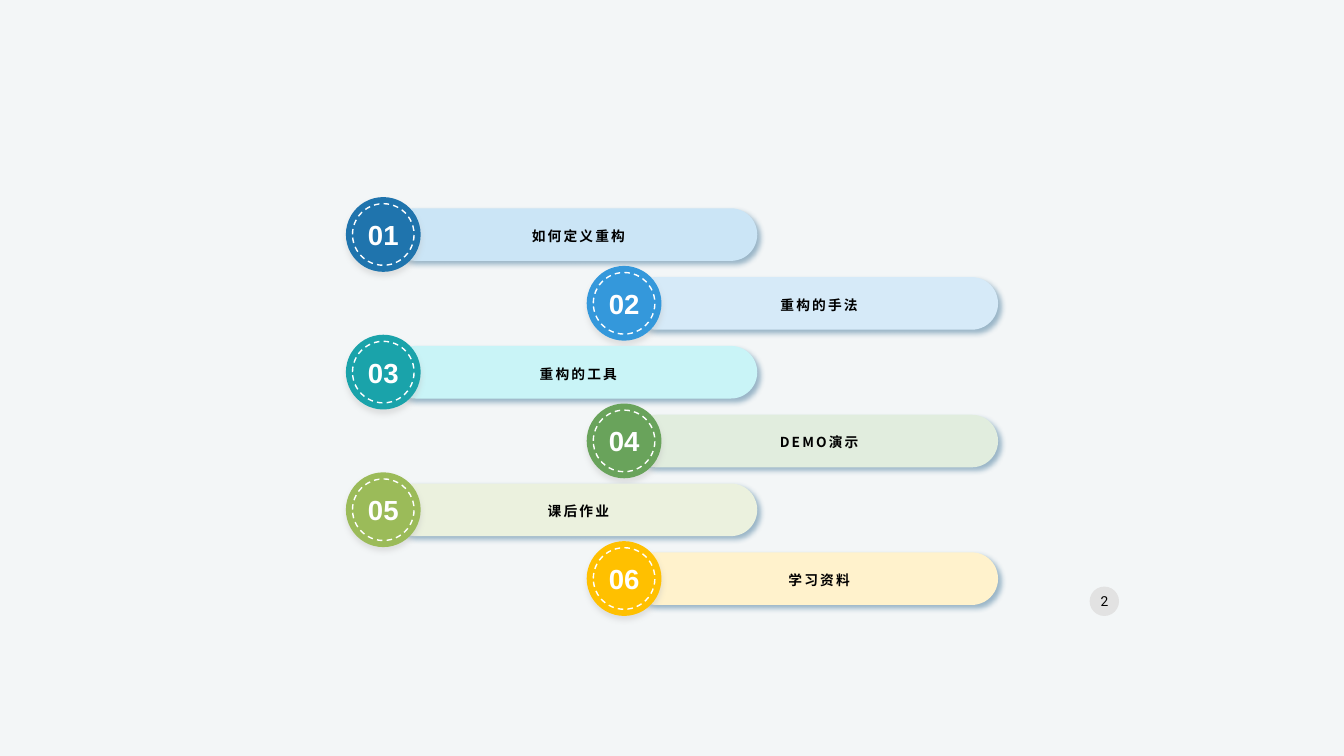
from dataclasses import dataclass

from lxml import etree
from pptx import Presentation
from pptx.dml.color import RGBColor
from pptx.enum import dml, shapes, text
from pptx.oxml import ns
from pptx.util import Pt


@dataclass(frozen=True)
class Theme:
    back: str = "F3F6F7"
    ink: str = "000000"
    white: str = "FFFFFF"
    dot: str = "E2E2E2"
    deep: str = "175782"
    soft: str = "BFBFBF"
    small: float = 9.8
    large: float = 19.7
    label: str = "Noto Sans CJK SC"
    number: str = "Arial"
    page: str = "Roboto"


class Deck:
    def __init__(self, theme):
        self.theme = theme
        self.prs = Presentation()
        self.prs.slide_width, self.prs.slide_height = Pt(960), Pt(540)
        self.slide = self.prs.slides.add_slide(self.prs.slide_layouts[6])
        fill = self.slide.background.fill
        fill.solid()
        fill.fore_color.rgb = RGBColor.from_string(theme.back)

    def shape(self, kind, box, fill=None):
        item = self.slide.shapes.add_shape(kind, *map(Pt, box))
        item.shadow.inherit = False
        item.line.fill.background()
        if fill:
            item.fill.solid()
            item.fill.fore_color.rgb = RGBColor.from_string(fill)
        else:
            item.fill.background()
        return item

    def oval(self, box, fill=None):
        return self.shape(shapes.MSO_SHAPE.OVAL, box, fill)

    def pill(self, box, fill):
        item = self.shape(shapes.MSO_SHAPE.ROUNDED_RECTANGLE, box, fill)
        item.adjustments[0] = 0.5
        return item

    def ring(self, box):
        item = self.oval(box)
        item.line.color.rgb = RGBColor.from_string(self.theme.white)
        item.line.width = Pt(1)
        item.line.dash_style = dml.MSO_LINE.DASH
        return item

    def shade(self, item, color, angle):
        """Blur 4 pt, distance 3 pt, 40 % opaque."""
        effects = item._element.spPr.find(ns.qn("a:effectLst"))
        outer = etree.SubElement(
            effects, ns.qn("a:outerShdw"), blurRad=str(Pt(4)),
            dist=str(Pt(3)), dir=str(angle * 60000), algn="t", rotWithShape="0")
        tone = etree.SubElement(outer, ns.qn("a:srgbClr"), val=color)
        etree.SubElement(tone, ns.qn("a:alpha"), val="40000")

    def box(self, box):
        return self.slide.shapes.add_textbox(*map(Pt, box))

    def letter(self, item, words, color, font, inset=None, wrap=True,
               lead=None, track=None):
        frame = item.text_frame
        look = {"word_wrap": wrap, "vertical_anchor": text.MSO_ANCHOR.MIDDLE}
        if inset is not None:
            for side in ("left", "right", "top", "bottom"):
                look[f"margin_{side}"] = Pt(inset)
        for name, value in look.items():
            setattr(frame, name, value)
        para = frame.paragraphs[0]
        para.alignment = text.PP_ALIGN.CENTER
        para.line_spacing = lead
        run = para.add_run()
        run.text = words
        for name, value in font.items():
            setattr(run.font, name, value)
        run.font.color.rgb = RGBColor.from_string(color)
        props = run._r.get_or_add_rPr()
        etree.SubElement(props, ns.qn("a:ea"), typeface=font["name"])
        if track:
            props.set("spc", str(int(track * 100)))


def main():
    theme = Theme()
    deck = Deck(theme)
    topics = [
        ("如何定义重构", "1F74AD", "CBE5F6"),
        ("重构的手法", "3498DB", "D6EAF8"),
        ("重构的工具", "1AA3AA", "C9F4F7"),
        ("DEMO演示", "69A35B", "E1EDDE"),
        ("课后作业", "9BBB59", "EBF1DE"),
        ("学习资料", "FFC000", "FFF2CC"),
    ]
    number = {"name": theme.number, "size": Pt(theme.large), "bold": True}
    label = {"name": theme.label, "size": Pt(theme.small), "bold": True}
    page = {"name": theme.page, "size": Pt(theme.small), "bold": False}

    # Page number
    deck.oval((778.3, 419, 21, 21), theme.dot)
    deck.letter(deck.box((783.4, 421, 10.8, 17.3)), "2", theme.ink, page,
                inset=2.8, wrap=False)

    # Topics, alternating between two columns
    for i, (words, dark, pale) in enumerate(topics):
        x = 247.1 + 172 * (i % 2)
        y = 140.8 + 49.15 * i
        bar = deck.pill((x + 31, y + 8, 262.8, 37.6), pale)
        deck.shade(bar, theme.deep, 45)
        badge = deck.oval((x, y, 53.4, 53.4), dark)
        deck.shade(badge, theme.soft, 90)
        ring = deck.ring((x + 4.7, y + 4.7, 44, 44))
        deck.letter(ring, f"{i + 1:02}", theme.white, number, inset=0)
        deck.letter(deck.box((x + 57.3, y + 14, 217.4, 25.2)), words,
                    theme.ink, label, lead=1.2, track=1.5)

    deck.prs.save("out.pptx")


if __name__ == "__main__":
    main()
